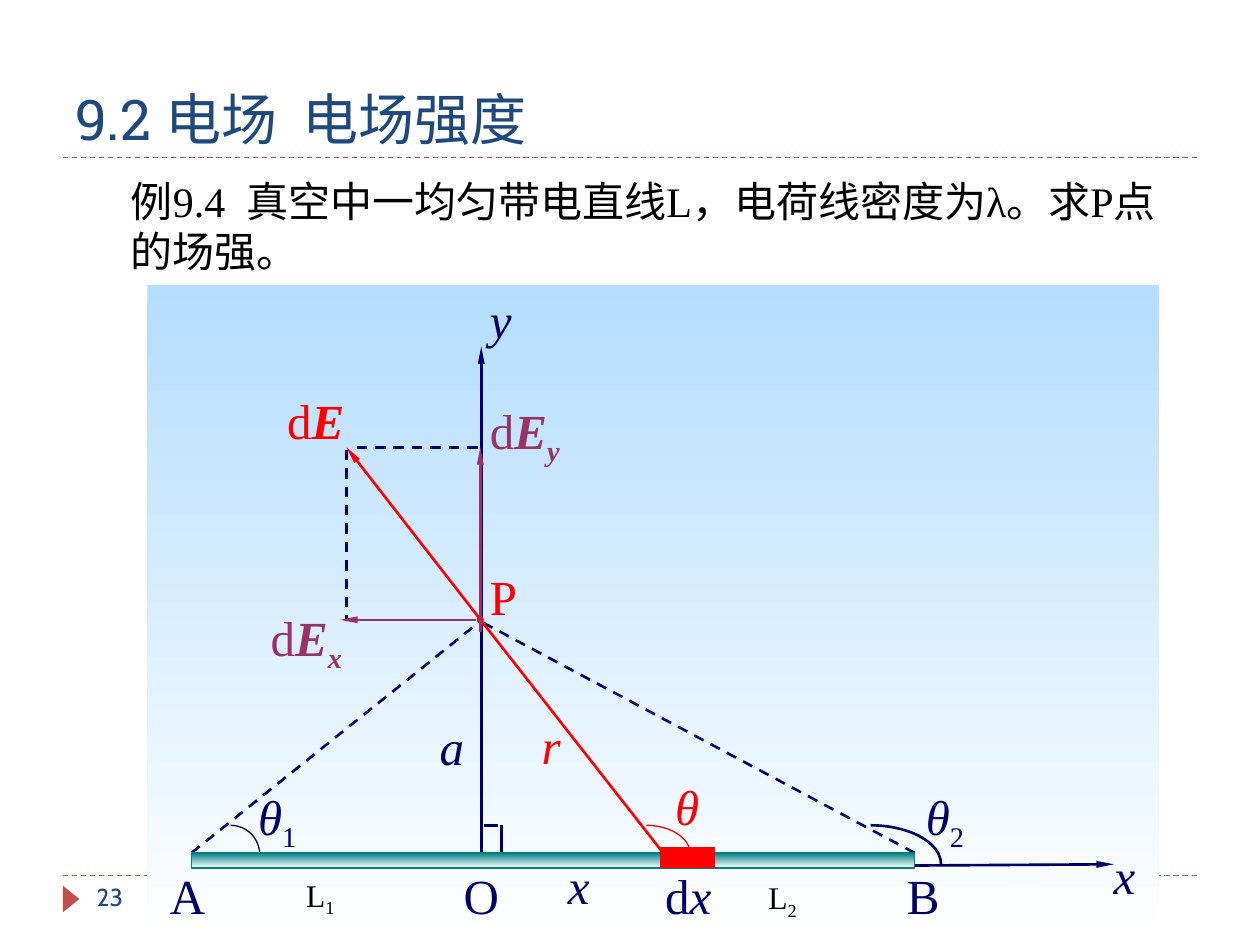
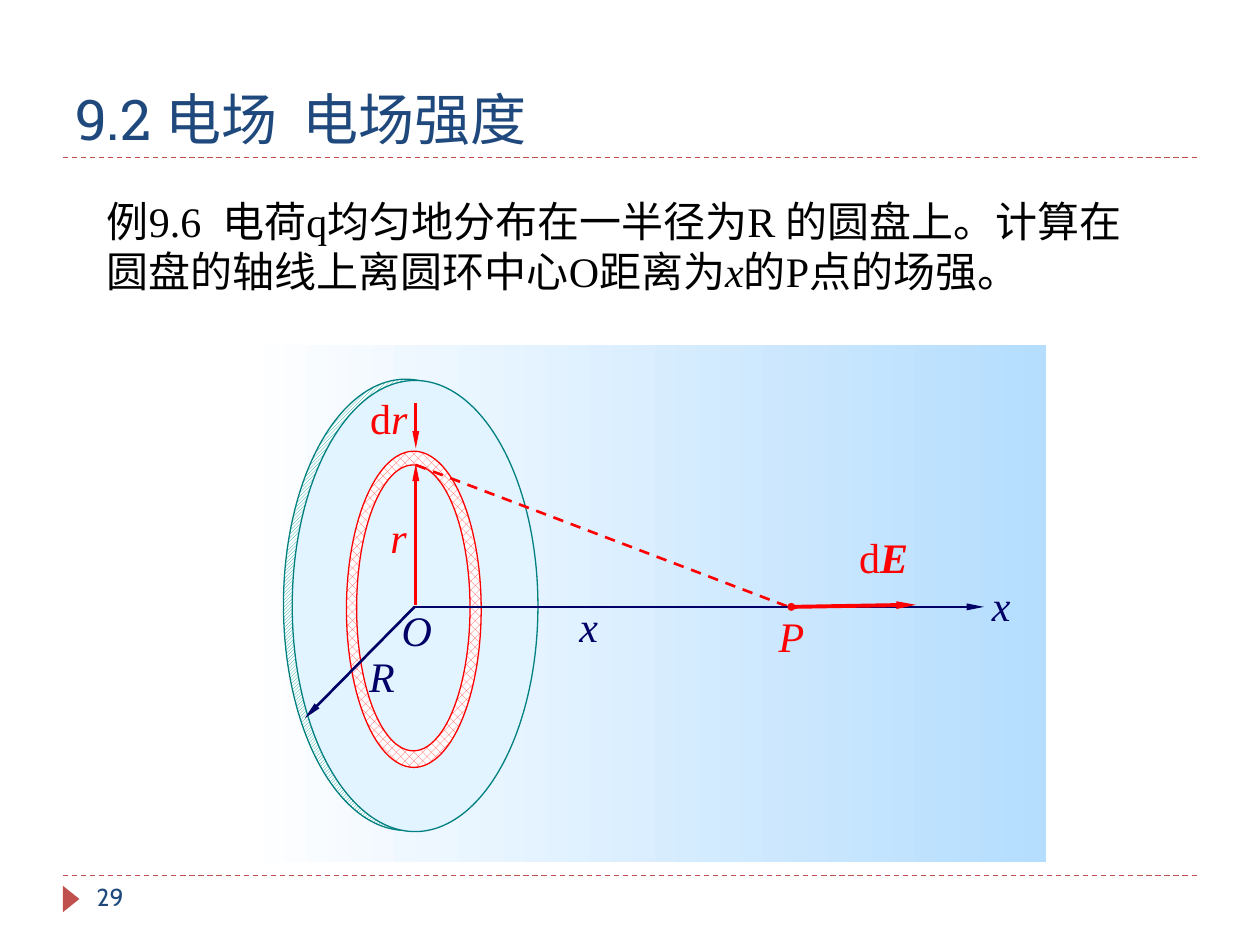
import pptx
import pptx.dml.color
import pptx.enum.dml
import pptx.enum.shapes
import pptx.enum.text
import pptx.oxml
import pptx.oxml.ns
import pptx.util

Pt = pptx.util.Pt
SHAPE = pptx.enum.shapes.MSO_SHAPE
PATTERN = pptx.enum.dml.MSO_PATTERN
COLORS = {
    "title": "1F497D", "accent": "C0504D", "black": "000000", "white": "FFFFFF",
    "navy": "000066", "red": "FF0000", "plum": "993366", "teal": "008080",
    "sky": "B4DDFE", "disc": "E1F4FF", "rim": "009E9A", "ring": "FF5050",
}
SERIF = "Times New Roman"


def rgb(name):
    return pptx.dml.color.RGBColor.from_string(COLORS[name])


def add_text(s, x, y, w, text, size=28, color="navy", font=SERIF, h=None,
             wrap=False, anchor="TOP", fit=True):
    """Runs are a string or (text, style) pairs: b bold, i italic, _ subscript."""
    tb = s.shapes.add_textbox(Pt(x), Pt(y), Pt(w), Pt(h or size * 1.2 + 7.2))
    tf = tb.text_frame
    tf.word_wrap = wrap
    tf.vertical_anchor = getattr(pptx.enum.text.MSO_ANCHOR, anchor)
    if fit:
        tf.auto_size = pptx.enum.text.MSO_AUTO_SIZE.SHAPE_TO_FIT_TEXT
    p = tf.paragraphs[0]
    for part, style in [(text, "")] if isinstance(text, str) else text:
        r = p.add_run()
        r.text = part
        r.font.name = font
        r.font.size = Pt(size)
        r.font.color.rgb = rgb(color)
        r.font.bold = "b" in style
        r.font.italic = "i" in style
        if "_" in style:
            r.font._rPr.set("baseline", "-25000")
    return tb


def add_line(s, x1, y1, x2, y2, color="navy", width=1.5, dash=False,
             head=None, tail=None):
    c = s.shapes.add_connector(pptx.enum.shapes.MSO_CONNECTOR.STRAIGHT,
                               Pt(x1), Pt(y1), Pt(x2), Pt(y2))
    c.line.color.rgb = rgb(color)
    c.line.width = Pt(width)
    if dash:
        c.line.dash_style = pptx.enum.dml.MSO_LINE.DASH
    sp_pr = c._element.spPr
    ln = sp_pr.find(pptx.oxml.ns.qn("a:ln"))
    for tag, kind in (("headEnd", head), ("tailEnd", tail)):
        if kind:
            end = pptx.oxml.parse_xml(
                f'<a:{tag} {pptx.oxml.ns.nsdecls("a")} type="{kind}" w="sm"/>')
            end.set("len", "sm" if kind == "oval" else "lg")
            ln.append(end)
    sp_pr.append(pptx.oxml.parse_xml(
        f'<a:effectLst {pptx.oxml.ns.nsdecls("a")}/>'))
    return c


def add_shape(s, kind, x, y, w, h, fill=None, line=None, width=0.75,
              gradient=None, angle=0, pattern=None):
    sp = s.shapes.add_shape(kind, Pt(x), Pt(y), Pt(w), Pt(h))
    sp.shadow.inherit = False
    if gradient:
        sp.fill.gradient()
        sp.fill.gradient_angle = angle
        for stop, color in zip(sp.fill.gradient_stops, gradient):
            stop.color.rgb = rgb(color)
    elif pattern:
        sp.fill.patterned()
        sp.fill.pattern = pattern
        sp.fill.fore_color.rgb = rgb(fill)
        sp.fill.back_color.rgb = rgb("white")
    elif fill:
        sp.fill.solid()
        sp.fill.fore_color.rgb = rgb(fill)
    else:
        sp.fill.background()
    if line:
        sp.line.color.rgb = rgb(line)
        sp.line.width = Pt(width)
    else:
        sp.line.fill.background()
    return sp


def add_angle_arc(s, x, y, rx, ry, color="navy", width=0.75):
    return add_shape(s, SHAPE.ARC, x - rx, y, 2 * rx, 2 * ry,
                     line=color, width=width)


def add_frame(prs, number):
    s = prs.slides.add_slide(prs.slide_layouts[6])
    for y in (500.4, 90):
        add_line(s, 36, y, 684, y, "accent", 0.75, dash=True)
    marker = add_shape(s, SHAPE.ISOSCELES_TRIANGLE, 33.1, 509, 15.1, 9.4, "accent")
    marker.rotation = 90
    add_text(s, 36, 18, 648, "9.2 电场  电场强度", size=32, color="title",
             font="Roboto Slab", h=72, wrap=True, anchor="BOTTOM", fit=False)
    add_text(s, 48.2, 500.4, 156, number, size=14, color="title", font="Cabin",
             h=28.8, wrap=True, fit=False)
    return s


def add_problem(s, x, y, text):
    add_text(s, x, y, 606.2, text, size=24, color="black", h=65.5, wrap=True)


def build_line_charge(prs):
    s = add_frame(prs, "23")
    add_shape(s, SHAPE.RECTANGLE, 84.2, 162.7, 578.2, 374.4,
              gradient=("sky", "white"), angle=270)

    px, py = 274.5, 354
    rod_left, rod_right, rod_top = 109.4, 522.7, 487.4
    for end in (rod_left, rod_right):
        add_line(s, end, rod_top, px, py + 1, dash=True)
    add_line(s, rod_right, 494.6, 636.5, 493.9, tail="triangle")
    add_line(s, 275, 198, 275, rod_top, head="triangle")
    add_line(s, 286.6, 471.6, 286.6, 488.2)
    add_line(s, 276.5, 471.6, 284.4, 471.6)
    add_angle_arc(s, 497.5, 471.6, 40.3, 22.3, width=1.5)
    add_angle_arc(s, 131.8, 471.6, 16.6, 16.6)
    add_shape(s, SHAPE.RECTANGLE, rod_left, rod_top, rod_right - rod_left, 8.6,
              line="teal", gradient=("teal", "white"), angle=270)

    ex, ey = 198, 255.6
    add_line(s, px, py, ex, ey, "red", tail="triangle")
    add_angle_arc(s, 369.4, 471.6, 25.2, 16.6, "red")
    add_shape(s, SHAPE.RECTANGLE, 377.3, 484.6, 31, 10.8, "red", "red")
    add_line(s, 385.2, 495.4, px, py, "red", tail="oval")
    add_line(s, ex, 257, ex, py, dash=True)
    add_line(s, 272.9, ey, 201.6, ey, dash=True)
    add_line(s, 272.2, 354.2, 194.4, 354.2, "plum", tail="triangle")
    add_line(s, px, 361.4, px, ey, "plum", tail="triangle")

    for x, y, w, text in (
        (629.3, 479.5, 26.6, [("x", "i")]),
        (272.9, 162, 26.6, [("y", "i")]),
        (244.1, 406.1, 28.8, [("a", "i")]),
        (140.4, 445.7, 38.9, [("θ", "i"), ("1", "_")]),
        (522, 445.7, 38.9, [("θ", "i"), ("2", "_")]),
        (257.8, 491, 34.6, "O"),
        (90, 491, 34.6, "A"),
        (511.2, 491, 33.1, "B"),
        (317.5, 485.3, 26.6, [("x", "i")]),
        (373, 491, 41, [("d", ""), ("x", "i")]),
    ):
        add_text(s, x, y, w, text)
    for x, y, w, text in (
        (272.9, 320.4, 52.6, "P"),
        (157, 219.6, 47.5, [("d", ""), ("E", "bi")]),
        (378.7, 439.9, 52.6, [("θ", "i")]),
        (302.4, 405.4, 37.4, [("r", "i")]),
    ):
        add_text(s, x, y, w, text, color="red", wrap=True)
    for x, y, w, axis in ((147.6, 343.4, 56.9, "x"), (272.9, 225.4, 108, "y")):
        add_text(s, x, y, w, [("d", ""), ("E", "bi"), (axis, "bi_")],
                 color="plum", wrap=axis == "y")

    add_problem(s, 67.7, 96.5,
                "例9.4  真空中一均匀带电直线L，电荷线密度为λ。求P点的场强。")
    for x, y, index in ((167.8, 496.8, "1"), (432, 498.2, "2")):
        add_text(s, x, y, 31.7, [("L", ""), (index, "_")], size=18, color="black")


def build_charged_disc(prs):
    s = add_frame(prs, "29")
    add_problem(s, 54, 108, [
        ("例9.6  电荷q均匀地分布在一半径为R 的圆盘上。"
         "计算在圆盘的轴线上离圆环中心O距离为", ""),
        ("x", "i"), ("的P点的场强。", "")])
    add_shape(s, SHAPE.RECTANGLE, 138.2, 197.3, 459.4, 295.2,
              gradient=("white", "sky"))

    add_shape(s, SHAPE.OVAL, 162, 216.7, 139.7, 257.8, "rim", "teal",
              pattern=PATTERN.DARK_UPWARD_DIAGONAL)
    add_shape(s, SHAPE.OVAL, 167, 217.4, 140.4, 257.8, "disc", "teal")
    add_shape(s, SHAPE.OVAL, 198, 257.8, 77, 180.7, "ring", "red",
              pattern=PATTERN.PERCENT_50)
    add_shape(s, SHAPE.OVAL, 203.8, 265.7, 64.8, 163.4, "disc", "red")

    rx, axis_y = 237.6, 346.8
    add_line(s, rx, 345.6, rx, 265, "red", tail="triangle")
    add_line(s, rx, 230.4, rx, 256.3, "red", tail="triangle")
    add_line(s, rx, 265.7, 450.7, axis_y, "red", dash=True)
    add_line(s, 236.9, axis_y, 174.2, 410.4, tail="triangle")
    add_line(s, 236.2, axis_y, 562.3, axis_y, tail="triangle")
    add_line(s, 452.2, axis_y, 523.4, 345.6, "red", 2.25,
             head="oval", tail="triangle")

    for x, y, w, text, color in (
        (324, 339.8, 25.2, [("x", "i")], "navy"),
        (483.8, 300.2, 42.5, [("d", ""), ("E", "bi")], "red"),
        (437.8, 345.6, 28.8, [("P", "i")], "red"),
        (216, 288.7, 23.8, [("r", "i")], "red"),
        (204.5, 221, 36, [("d", ""), ("r", "i")], "red"),
        (553.7, 327.6, 31, [(" x", "i")], "navy"),
        (203.8, 367.9, 28.8, [("R", "i")], "navy"),
        (222.5, 342, 31.7, [("O", "i")], "navy"),
    ):
        add_text(s, x, y, w, text, size=24, color=color)


def main():
    prs = pptx.Presentation()
    prs.slide_width, prs.slide_height = Pt(720), Pt(540)
    build_line_charge(prs)
    build_charged_disc(prs)
    prs.save("out.pptx")


if __name__ == "__main__":
    main()
